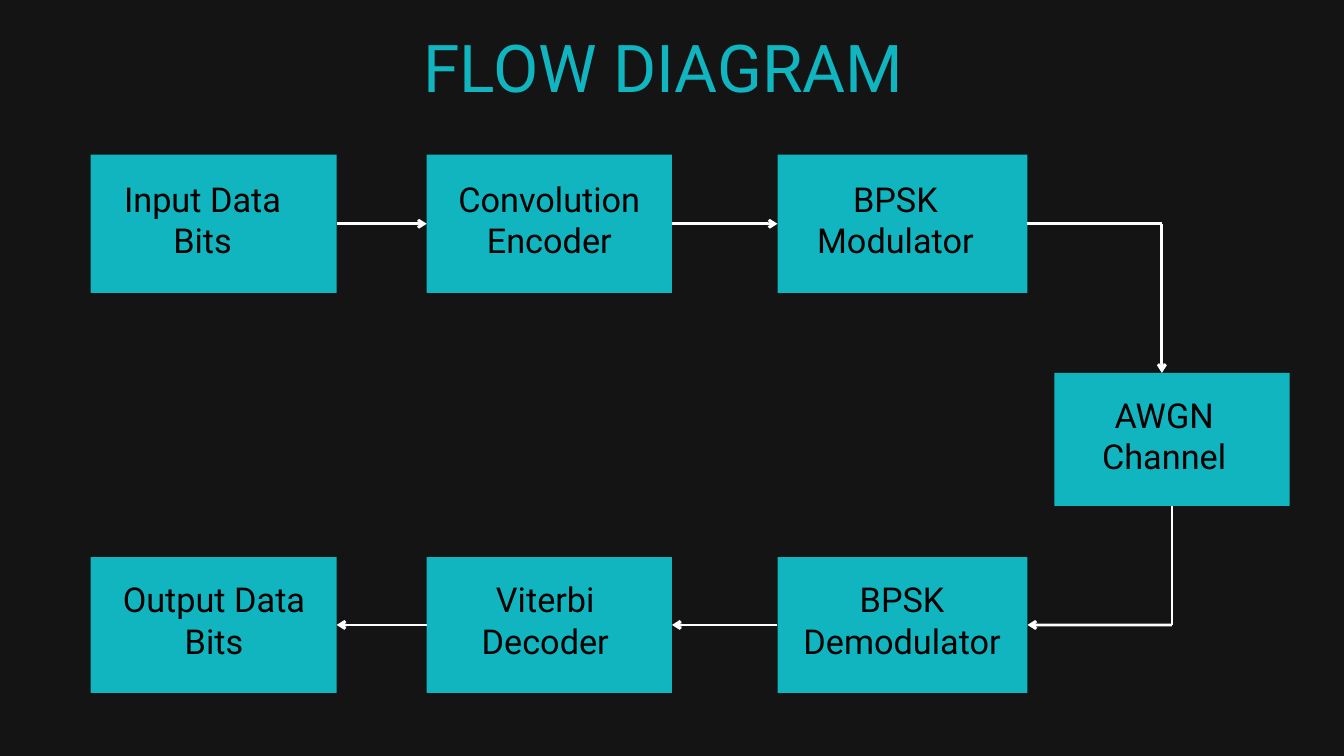
from pptx import Presentation
from pptx.dml.color import RGBColor
from pptx.enum.shapes import MSO_CONNECTOR, MSO_SHAPE
from pptx.enum.text import MSO_ANCHOR, MSO_AUTO_SIZE, PP_ALIGN
from pptx.oxml.ns import qn
from pptx.util import Inches, Pt
from lxml.etree import SubElement

DARK = RGBColor(0x14, 0x14, 0x14)
TEAL = RGBColor(0x10, 0xB5, 0xBF)
BLACK = RGBColor(0, 0, 0)
WHITE = RGBColor(0xFF, 0xFF, 0xFF)
TOP, RIGHT, BOTTOM, LEFT = 0, 3, 2, 1


def write(shape, lines, size, pitch, color):
    """Fill a shape with centred lines of text."""
    frame = shape.text_frame
    frame.word_wrap = True
    frame.auto_size = MSO_AUTO_SIZE.NONE
    frame.vertical_anchor = MSO_ANCHOR.TOP
    frame.margin_left = frame.margin_right = 0
    frame.margin_top = frame.margin_bottom = 0
    for i, line in enumerate(lines):
        para = frame.add_paragraph() if i else frame.paragraphs[0]
        para.alignment = PP_ALIGN.CENTER
        para.line_spacing = Pt(pitch)
        para.space_before = Pt(0)
        run = para.add_run()
        run.text = line
        run.font.name = "Roboto"
        run.font.size = Pt(size)
        run.font.color.rgb = color


def add_title(slide, left, top, width, height):
    """Place the heading in the title placeholder."""
    title = slide.shapes.title
    title.left, title.top = Inches(left), Inches(top)
    title.width, title.height = Inches(width), Inches(height)
    write(title, ["FLOW DIAGRAM"], 70.6, 84.7, TEAL)


def add_stage(slide, lines, left, top, width, height, shift):
    """Draw one stage, its label set in from the box by shift."""
    box = slide.shapes.add_shape(
        MSO_SHAPE.RECTANGLE, Inches(left), Inches(top), Inches(width), Inches(height))
    box.shadow.inherit = False
    box.fill.solid()
    box.fill.fore_color.rgb = TEAL
    box.line.fill.background()
    dx, dy = shift
    label = slide.shapes.add_textbox(
        Inches(left + dx), Inches(top + dy), Inches(3.27), Inches(1.29))
    write(label, lines, 36.7, 44.1, BLACK)
    return box


def add_line(slide, start=(0, 0), end=(0, 0), source=None, target=None, arrow=True):
    """Draw a line between points or (box, side) joints."""
    line = slide.shapes.add_connector(
        MSO_CONNECTOR.STRAIGHT, *(Inches(v) for v in (*start, *end)))
    if source:
        line.begin_connect(*source)
    if target:
        line.end_connect(*target)
    line.line.color.rgb = WHITE
    line.line.width = Pt(3)
    if arrow:
        SubElement(line.line._get_or_add_ln(), qn("a:tailEnd"), type="arrow")
    SubElement(line._element.spPr, qn("a:effectLst"))


def add_row(slide, top, height, drop, stages):
    """Lay three stages on the shared columns."""
    columns = ((1.35, 3.66), (6.35, 3.65), (11.57, 3.72))
    return [add_stage(slide, lines, left, top, width, height, (dx, drop))
            for (left, width), (lines, dx) in zip(columns, stages)]


def add_flow(slide):
    """Build the chain of stages and its arrows."""
    source, encoder, sender = add_row(slide, 2.3, 2.06, 0.35, [
        (["Input Data", "Bits"], 0.03),
        (["Convolution", "Encoder"], 0.19),
        (["BPSK", "Modulator"], 0.12)])
    channel = add_stage(slide, ["AWGN", "Channel"], 15.69, 5.55, 3.5, 1.98, (0, 0.31))
    sink, decoder, getter = add_row(slide, 8.29, 2.02, 0.32, [
        (["Output Data", "Bits"], 0.2),
        (["Viterbi", "Decoder"], 0.13),
        (["BPSK", "Demodulator"], 0.22)])
    for one, two in ((source, encoder), (encoder, sender)):
        add_line(slide, source=(one, RIGHT), target=(two, LEFT))
    for one, two in ((getter, decoder), (decoder, sink)):
        add_line(slide, source=(one, LEFT), target=(two, RIGHT))
    over, under = (17.29, 3.33), (17.44, 9.3)
    add_line(slide, end=over, source=(sender, RIGHT), arrow=False)
    add_line(slide, over, (17.29, 5.55))
    add_line(slide, end=under, source=(channel, BOTTOM), arrow=False)
    add_line(slide, under, target=(getter, RIGHT))


def main():
    """Build and save the slide."""
    deck = Presentation()
    deck.slide_width, deck.slide_height = Inches(20), Inches(11.25)
    slide = deck.slides.add_slide(deck.slide_layouts[5])
    slide.background.fill.solid()
    slide.background.fill.fore_color.rgb = DARK
    add_title(slide, 0.95, 0.4, 17.84, 1.31)
    add_flow(slide)
    deck.save("out.pptx")


if __name__ == "__main__":
    main()
